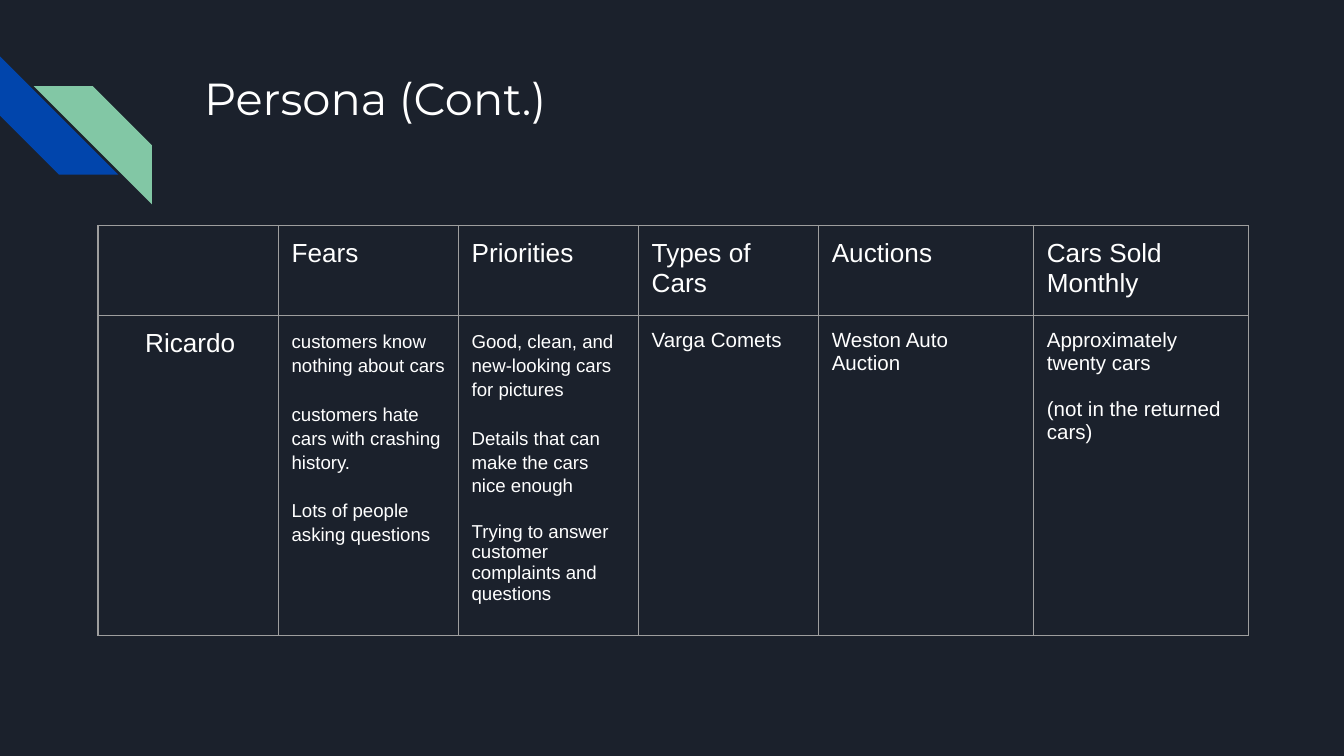
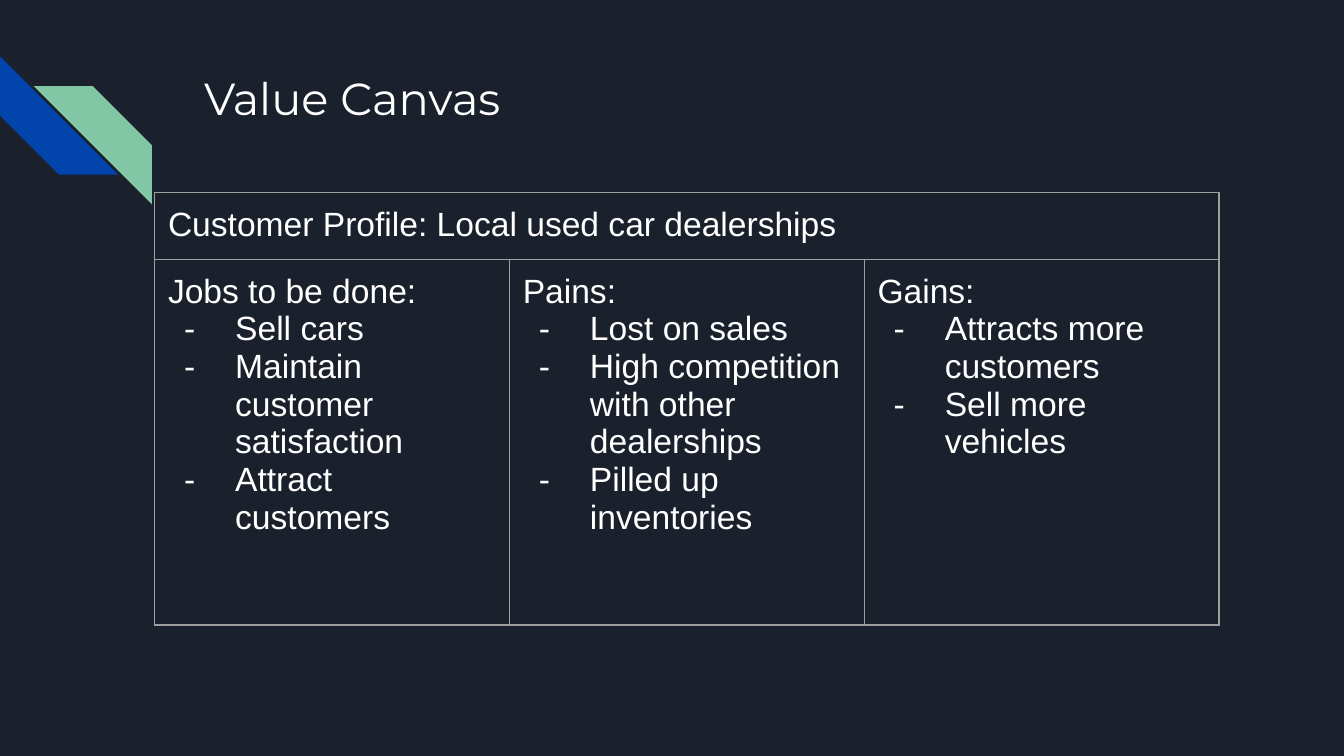
from dataclasses import dataclass

from lxml.etree import SubElement
from pptx import Presentation
from pptx.dml.color import RGBColor
from pptx.enum.shapes import MSO_SHAPE
from pptx.oxml.ns import qn
from pptx.slide import Slide
from pptx.table import Table, _Cell
from pptx.util import Inches, Pt


@dataclass(frozen=True)
class Theme:
    background: str = "1B212C"
    text: str = "FFFFFF"
    blue: str = "0145AC"
    green: str = "82C7A5"
    border: str = "9E9E9E"
    border_width: float = 0.75
    title_font: str = "Montserrat"
    body_font: str = "Arial"
    title_size: float = 24
    canvas_size: float = 18
    header_size: float = 14
    detail_size: float = 11
    small_size: float = 10


@dataclass(frozen=True)
class Stripe:
    left: float
    top: float
    color: str
    rotation: int = 0
    flipped: bool = False


@dataclass(frozen=True)
class Line:
    text: str
    size: float
    spacing: float | None = None
    before: float = 0
    margin: float = 0
    indent: float = 0
    bullet: str = ""


@dataclass(frozen=True)
class Grid:
    left: float
    top: float
    columns: list[float]
    rows: list[float]
    cells: list[list[list[Line]]]


THEME = Theme()
STRIPE_SIZE = 0.88
CELL_INSET = 0.1
STRIPES = [
    Stripe(0, 0.42, THEME.blue, rotation=270),
    Stripe(0.25, 0.64, THEME.green, flipped=True),
]


def color(value: str) -> RGBColor:
    return RGBColor.from_string(value)


def add_run(paragraph, text: str, font: str, size: float) -> None:
    run = paragraph.add_run()
    run.text = text
    run.font.name = font
    run.font.size = Pt(size)
    run.font.color.rgb = color(THEME.text)


def add_stripe(slide: Slide, stripe: Stripe) -> None:
    shape = slide.shapes.add_shape(
        MSO_SHAPE.DIAGONAL_STRIPE, Inches(stripe.left), Inches(stripe.top),
        Inches(STRIPE_SIZE), Inches(STRIPE_SIZE))
    shape.shadow.inherit = False
    shape.adjustments[0] = 0.5
    shape.fill.solid()
    shape.fill.fore_color.rgb = color(stripe.color)
    shape.line.fill.background()
    shape.rotation = stripe.rotation
    if stripe.flipped:
        shape._element.spPr.get_or_add_xfrm().set("flipH", "1")


def add_title(slide: Slide, text: str) -> None:
    box = slide.shapes.add_textbox(Inches(1.42), Inches(0.43), Inches(7.7), Inches(1))
    frame = box.text_frame
    frame.word_wrap = True
    frame.margin_left = frame.margin_right = Inches(CELL_INSET)
    frame.margin_top = frame.margin_bottom = Inches(CELL_INSET)
    add_run(frame.paragraphs[0], text, THEME.title_font, THEME.title_size)


def add_slide(presentation, title: str) -> Slide:
    slide = presentation.slides.add_slide(presentation.slide_layouts[6])
    slide.background.fill.solid()
    slide.background.fill.fore_color.rgb = color(THEME.background)
    for stripe in STRIPES:
        add_stripe(slide, stripe)
    add_title(slide, title)
    return slide


def style_cell(cell: _Cell) -> None:
    cell.margin_left = cell.margin_right = Inches(CELL_INSET)
    cell.margin_top = cell.margin_bottom = Inches(CELL_INSET)
    properties = cell._tc.get_or_add_tcPr()
    for side in ("a:lnL", "a:lnR", "a:lnT", "a:lnB"):
        line = SubElement(properties, qn(side), w=str(Pt(THEME.border_width)))
        fill = SubElement(line, qn("a:solidFill"))
        SubElement(fill, qn("a:srgbClr"), val=THEME.border)
    cell.fill.background()


def write_line(paragraph, line: Line) -> None:
    if line.spacing:
        paragraph.line_spacing = line.spacing
    if line.before:
        paragraph.space_before = Pt(line.before)
    properties = paragraph._p.get_or_add_pPr()
    if line.margin:
        properties.set("marL", str(Inches(line.margin)))
        properties.set("indent", str(Inches(line.indent)))
    if line.bullet:
        bullet_color = SubElement(properties, qn("a:buClr"))
        SubElement(bullet_color, qn("a:srgbClr"), val=THEME.text)
        SubElement(properties, qn("a:buFont"), typeface=THEME.body_font)
        SubElement(properties, qn("a:buChar"), char=line.bullet)
    add_run(paragraph, line.text, THEME.body_font, line.size)


def add_grid(slide: Slide, grid: Grid) -> Table:
    table = slide.shapes.add_table(
        len(grid.rows), len(grid.columns), Inches(grid.left), Inches(grid.top),
        Inches(sum(grid.columns)), Inches(sum(grid.rows))).table
    table.first_row = table.horz_banding = False
    for column, width in zip(table.columns, grid.columns):
        column.width = Inches(width)
    for row, height in zip(table.rows, grid.rows):
        row.height = Inches(height)
    for row, contents in zip(table.rows, grid.cells):
        for cell, lines in zip(row.cells, contents):
            style_cell(cell)
            for index, line in enumerate(lines):
                frame = cell.text_frame
                paragraph = frame.add_paragraph() if index else frame.paragraphs[0]
                write_line(paragraph, line)
    return table


def header(text: str) -> list[Line]:
    return [Line(text, THEME.header_size)] if text else []


def small(text: str, before: float = 13, spacing: float | None = 1.15) -> Line:
    return Line(text, THEME.small_size, spacing, before)


def detail(text: str, before: float = 0) -> Line:
    return Line(text, THEME.detail_size, before=before)


def bullet_list(heading: str, items: list[str]) -> list[Line]:
    bullets = [Line(item, THEME.canvas_size, margin=0.5, indent=-0.38, bullet="-")
               for item in items]
    return [Line(heading, THEME.canvas_size), *bullets]


PERSONA_HEADERS = ["", "Fears", "Priorities", "Types of Cars", "Auctions",
                   "Cars Sold Monthly"]
PERSONA = Grid(
    0.73, 1.68, [1.34] * 4 + [1.6] * 2, [0.49, 0.99],
    [
        [header(text) for text in PERSONA_HEADERS],
        [
            [Line("Ricardo", THEME.header_size, margin=0.5, indent=-0.25)],
            [
                small("customers know nothing about cars", before=0),
                small("customers hate cars with crashing history."),
                small("Lots of people asking questions"),
            ],
            [
                small("Good, clean, and new-looking cars for pictures", before=0),
                small("Details that can make the cars nice enough"),
                small("Trying to answer customer complaints and questions", spacing=None),
            ],
            [detail("Varga Comets")],
            [detail("Weston Auto Auction")],
            [
                detail("Approximately twenty cars"),
                detail("(not in the returned cars)", before=12.5),
            ],
        ],
    ],
)
CANVAS = Grid(
    1.15, 1.43, [2.64] * 3, [0.42, 2.72],
    [
        [[Line("Customer Profile: Local used car dealerships", THEME.canvas_size)], [], []],
        [
            bullet_list("Jobs to be done:", [
                "Sell cars", "Maintain customer satisfaction", "Attract customers"]),
            bullet_list("Pains:", [
                "Lost on sales", "High competition with other dealerships",
                "Pilled up inventories"]),
            bullet_list("Gains:", ["Attracts more customers", "Sell more vehicles"]),
        ],
    ],
)


def main() -> None:
    presentation = Presentation()
    presentation.slide_width = Inches(10)
    presentation.slide_height = presentation.slide_width * 9 // 16
    add_grid(add_slide(presentation, "Persona (Cont.)"), PERSONA)
    canvas = add_grid(add_slide(presentation, "Value Canvas"), CANVAS)
    canvas.cell(0, 0).merge(canvas.cell(0, 2))
    presentation.save("out.pptx")


main()
